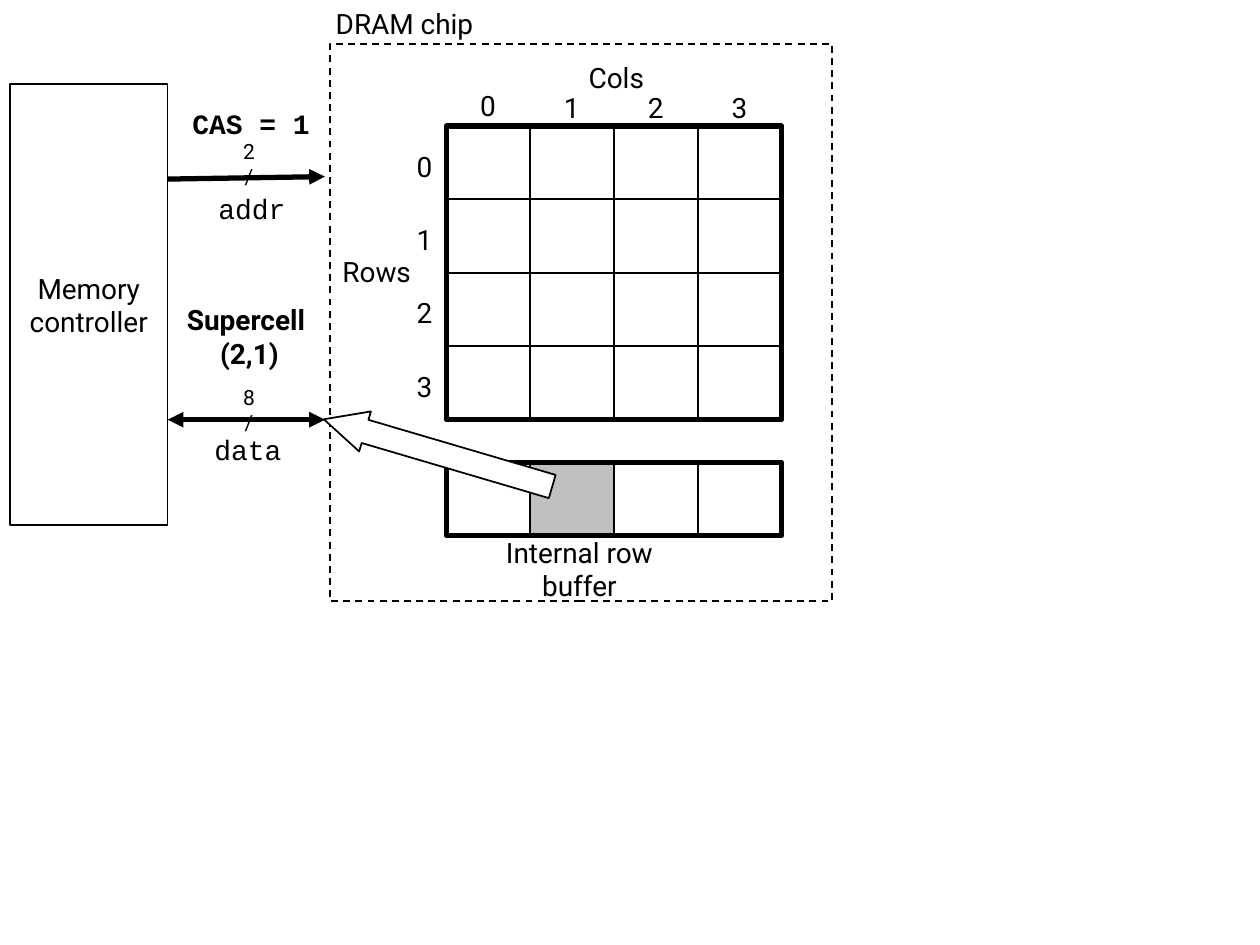
from itertools import product

from lxml.etree import SubElement
from pptx import Presentation
from pptx.dml.color import RGBColor
from pptx.enum.dml import MSO_LINE as Dash
from pptx.enum.shapes import MSO_CONNECTOR as Link, MSO_SHAPE as Preset
from pptx.enum.text import MSO_ANCHOR as Anchor, PP_ALIGN as Align
from pptx.oxml.ns import qn
from pptx.util import Cm, Pt

COLORS = {"ink": "000000", "paper": "FFFFFF", "selected": "C0C0C0"}
SANS, MONO = "Roboto", "Courier New"
COUNT = 4
CELL_W, CELL_H = 1.69, 1.48
GRID_X, GRID_Y, BUFFER_Y = 9, 2.54, 9.32
LABEL_H = 0.93


class Diagram:
    """Draws the parts of a memory diagram in one style, measured in centimetres."""

    def __init__(self, slide):
        self.slide = slide

    def color(self, name):
        return RGBColor.from_string(COLORS[name])

    def outline(self, line, weight):
        line.color.rgb = self.color("ink")
        line.width = Pt(weight)

    def letter(self, frame, lines, size=16, font=SANS, bold=False):
        frame.word_wrap = False
        frame.vertical_anchor = Anchor.MIDDLE
        for number, words in enumerate(lines):
            paragraph = frame.add_paragraph() if number else frame.paragraphs[0]
            paragraph.alignment = Align.CENTER
            run = paragraph.add_run()
            run.text = words
            run.font.name, run.font.size, run.font.bold = font, Pt(size), bold
            run.font.color.rgb = self.color("ink")

    def label(self, lines, x, y, width, height=LABEL_H, **style):
        box = self.slide.shapes.add_textbox(Cm(x), Cm(y), Cm(width), Cm(height))
        self.letter(box.text_frame, lines, **style)
        return box.text_frame

    def block(self, x, y, width, height, fill=None, weight=1, preset=Preset.RECTANGLE):
        shape = self.slide.shapes.add_shape(preset, Cm(x), Cm(y), Cm(width), Cm(height))
        shape.shadow.inherit = False
        if fill:
            shape.fill.solid()
            shape.fill.fore_color.rgb = self.color(fill)
        else:
            shape.fill.background()
        self.outline(shape.line, weight)
        return shape

    def bus(self, start, end, heads):
        wire = self.slide.shapes.add_connector(Link.STRAIGHT, *map(Cm, start + end))
        self.outline(wire.line, 3)
        properties = wire._element.spPr
        for head in heads:
            SubElement(properties.find(qn("a:ln")), qn(f"a:{head}"), type="triangle")
        SubElement(properties, qn("a:effectLst"))


def main():
    deck = Presentation()
    deck.slide_width, deck.slide_height = Cm(25.4), Cm(19.05)
    diagram = Diagram(deck.slides.add_slide(deck.slide_layouts[6]))

    diagram.label(["Supercell ", "(2,1)"], 3.43, 5.97, 3.2, 1.63, bold=True)
    diagram.label(["Cols"], 11.61, 1.1, 1.63)
    diagram.label(["Rows"], 6.63, 5, 1.93)

    for row, col in product(range(COUNT), repeat=2):
        diagram.block(GRID_X + col * CELL_W, GRID_Y + row * CELL_H, CELL_W, CELL_H,
                      None if row == 2 else "paper")
    for index in range(COUNT):
        diagram.label([str(index)], 9.43 + index * CELL_W, 1.7 if index else 1.65, 0.81)
        diagram.label([str(index)], 8.15, 2.88 + index * CELL_H, 0.81)
    diagram.block(GRID_X, GRID_Y, COUNT * CELL_W, COUNT * CELL_H, weight=3)

    for col in range(COUNT):
        diagram.block(GRID_X + col * CELL_W, BUFFER_Y, CELL_W, CELL_H,
                      "selected" if col == 1 else None)
    diagram.block(GRID_X, BUFFER_Y, COUNT * CELL_W, CELL_H, weight=3)
    buffer_name = diagram.label(["Internal row buffer"], 9.98, 11, 5.05)
    buffer_name.word_wrap = True
    buffer_name.margin_left, buffer_name.margin_right = Cm(0), Cm(1.65)

    chip = diagram.block(6.65, 0.89, 10.13, 11.23)
    chip.line.dash_style = Dash.DASH
    diagram.label(["DRAM chip"], 6.48, 0, 3.35)

    transfer = diagram.block(8.41, 6.73, 0.84, 4.8, "paper", preset=Preset.DOWN_ARROW)
    transfer.rotation = 106.4
    transfer.adjustments[0], transfer.adjustments[1] = 0.58, 1.03

    diagram.label(["CAS = 1"], 3.61, 2.03, 2.9, font=MONO, bold=True)
    diagram.bus((3.38, 3.61), (6.55, 3.56), ["tailEnd"])
    diagram.label(["addr"], 4.14, 3.73, 1.88, font=MONO)
    diagram.bus((3.38, 8.46), (6.55, 8.46), ["headEnd", "tailEnd"])
    diagram.label(["data"], 4.06, 8.59, 1.88, font=MONO)
    for bits, top in (("2", 2.67), ("8", 7.62)):
        diagram.label([bits, "/"], 4.65, top, 0.74, 1.27, size=12)

    controller = diagram.block(0.2, 1.7, 3.18, 8.89, "paper")
    diagram.letter(controller.text_frame, ["Memory", "controller"])

    deck.save("out.pptx")


if __name__ == "__main__":
    main()
